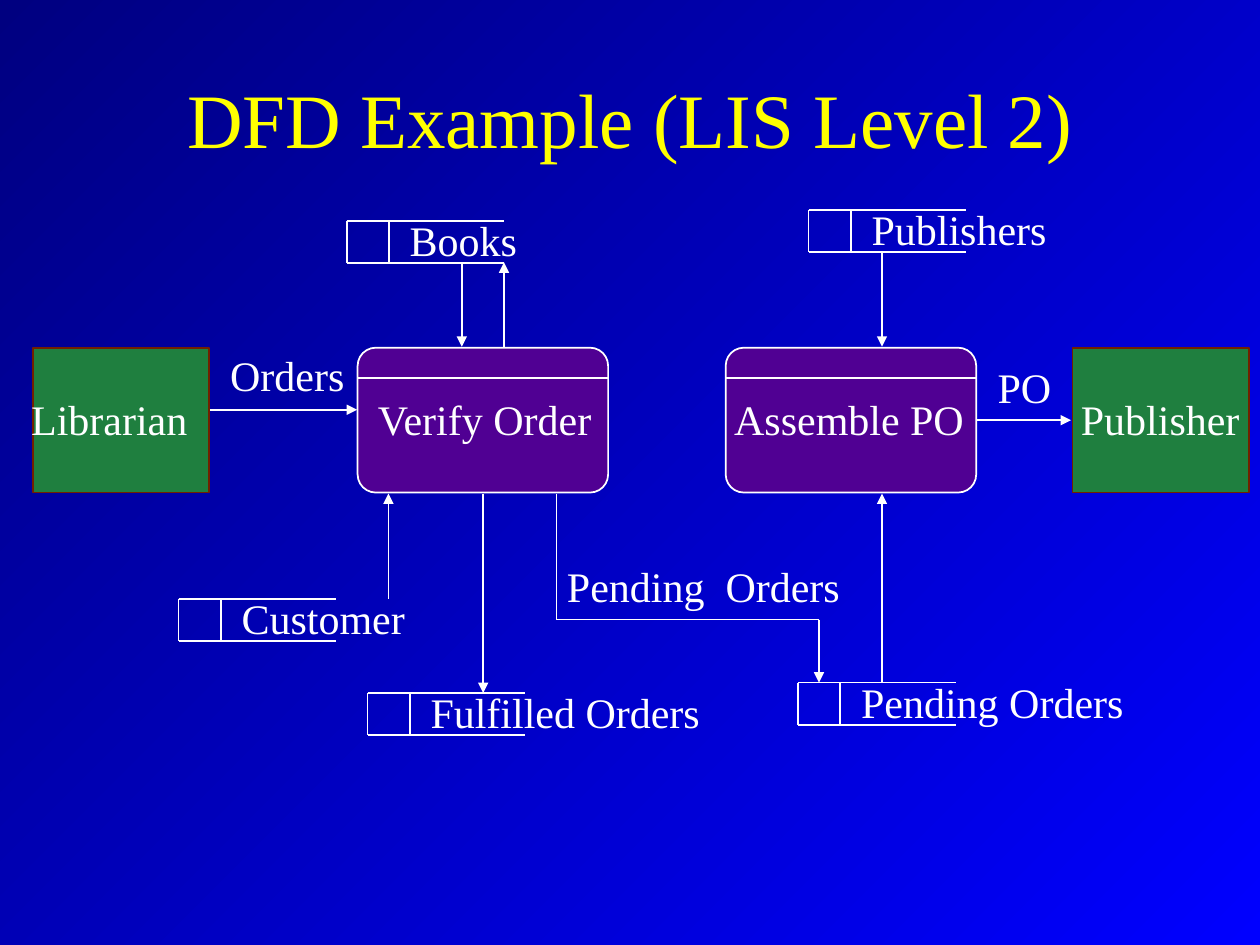
from dataclasses import dataclass
from itertools import pairwise

from lxml import etree
from pptx import Presentation
from pptx import util as u
from pptx.dml.color import RGBColor
from pptx.enum import shapes, text
from pptx.oxml.ns import qn


@dataclass(frozen=True)
class Theme:
    font: str = "Times New Roman"
    title_size: int = 44
    label_size: int = 24
    line_width: int = 1
    bg_start: str = "000080"
    bg_end: str = "0000FF"
    title: str = "FFFF00"
    ink: str = "FFFFFF"
    entity: str = "1F7F3F"
    entity_edge: str = "712000"
    process: str = "500093"


def rgb(value):
    return RGBColor.from_string(value)


def write(tf, words, *, font, size, color, align=text.PP_ALIGN.LEFT):
    p = tf.paragraphs[0]
    p.alignment = align
    r = p.add_run()
    r.text = words
    r.font.name = font
    r.font.size = u.Pt(size)
    r.font.color.rgb = rgb(color)


class Diagram:
    """Draws data flow diagram elements; all lengths are centimetres."""

    BOX_TOP, BOX_H = 7.01, 2.92
    ENTITY_W, PROCESS_W = 3.56, 5.05
    STORE_W, STORE_H = 3.18, 0.85
    LABEL_H, LABEL_TOP = 1.27, 7.8
    LABEL_SLACK = 0.12  # spare width that keeps each label on one line

    def __init__(self, prs, theme):
        self.theme = theme
        self.s = prs.slides.add_slide(prs.slide_layouts[6])

    def background(self):
        fill = self.s.background.fill
        fill.gradient()
        fill.gradient_angle = 315
        for stop, color in zip(fill.gradient_stops,
                               (self.theme.bg_start, self.theme.bg_end)):
            stop.color.rgb = rgb(color)

    def title(self, words, x, y, w, h):
        tf = self.s.shapes.add_textbox(*map(u.Cm, (x, y, w, h))).text_frame
        tf.word_wrap = True
        tf.vertical_anchor = text.MSO_ANCHOR.MIDDLE
        write(tf, words, font=self.theme.font, size=self.theme.title_size,
              color=self.theme.title, align=text.PP_ALIGN.CENTER)

    def label(self, words, x, y, w, parent=None):
        parent = parent or self.s
        box = parent.shapes.add_textbox(
            *map(u.Cm, (x, y, w + self.LABEL_SLACK, self.LABEL_H)))
        tf = box.text_frame
        tf.word_wrap = False
        tf.auto_size = text.MSO_AUTO_SIZE.SHAPE_TO_FIT_TEXT
        write(tf, words, font=self.theme.font, size=self.theme.label_size,
              color=self.theme.ink)

    def box(self, kind, x, w, fill, edge, parent=None):
        parent = parent or self.s
        sp = parent.shapes.add_shape(
            kind, *map(u.Cm, (x, self.BOX_TOP, w, self.BOX_H)))
        sp.shadow.inherit = False
        sp.fill.solid()
        sp.fill.fore_color.rgb = rgb(fill)
        sp.line.color.rgb = rgb(edge)
        sp.line.width = u.Pt(self.theme.line_width)
        return sp

    def line(self, start, end, parent=None, arrow=False):
        parent = parent or self.s
        c = parent.shapes.add_connector(
            shapes.MSO_CONNECTOR.STRAIGHT, *map(u.Cm, (*start, *end)))
        c.line.color.rgb = rgb(self.theme.ink)
        c.line.width = u.Pt(self.theme.line_width)
        if arrow:
            etree.SubElement(c.line._get_or_add_ln(), qn("a:tailEnd"),
                             type="triangle")
        etree.SubElement(c._element.spPr, qn("a:effectLst"))

    def entity(self, words, x, label_x, label_w):
        self.box(shapes.MSO_SHAPE.RECTANGLE, x, self.ENTITY_W,
                 self.theme.entity, self.theme.entity_edge)
        self.label(words, label_x, self.LABEL_TOP, label_w)

    def process(self, words, x, label_x, label_w):
        group = self.s.shapes.add_group_shape()
        sp = self.box(shapes.MSO_SHAPE.ROUNDED_RECTANGLE, x, self.PROCESS_W,
                      self.theme.process, self.theme.ink, group)
        sp.adjustments[0] = 0.125
        self.line((x, 7.62), (x + self.PROCESS_W, 7.62), group)
        self.label(words, label_x, self.LABEL_TOP, label_w)

    def store(self, words, x, y, label_w):
        group = self.s.shapes.add_group_shape()
        bottom = y + self.STORE_H
        for left in (x, x + self.STORE_H):
            self.line((left, y), (left, bottom), group)
        for level in (y, bottom):
            self.line((x, level), (x + self.STORE_W, level), group)
        self.label(words, x + 1.02, y - 0.25, label_w, group)

    def flow(self, *points):
        for start, end in pairwise(points):
            self.line(start, end, arrow=end == points[-1])


def main():
    prs = Presentation()
    prs.slide_width, prs.slide_height = u.Cm(25.4), u.Cm(19.05)
    d = Diagram(prs, Theme())
    d.background()
    d.title("DFD Example (LIS Level 2)", 1.91, 0.79, 21.59, 3.18)

    # External entities and processes
    d.entity("Librarian", 0.66, 0.38, 3.66)
    d.entity("Publisher", 21.62, 21.54, 3.71)
    d.process("Verify Order", 7.21, 7.37, 4.9)
    d.process("Assemble PO", 14.63, 14.55, 5.13)

    # Data stores
    d.store("Publishers", 16.3, 4.23, 4.04)
    d.store("Books", 6.99, 4.45, 2.67)
    d.store("Pending Orders", 16.09, 13.76, 5.79)
    d.store("Fulfilled Orders", 7.41, 13.97, 5.94)
    d.store("Customer", 3.6, 12.07, 3.78)

    # Data flows
    top, bottom = 6.99, 9.95
    d.flow((9.31, 5.29), (9.31, top))
    d.flow((10.16, top), (10.16, 5.29))
    d.flow((17.78, 5.08), (17.78, top))
    d.flow((4.23, 8.26), (7.2, 8.26))
    d.flow((19.69, 8.47), (21.59, 8.47))
    d.flow((7.83, 12.07), (7.83, bottom))
    d.flow((9.74, bottom), (9.74, 13.97))
    d.flow((17.78, 13.76), (17.78, bottom))
    d.flow((11.22, bottom), (11.22, 12.49), (16.51, 12.49), (16.51, 13.76))

    # Flow names
    d.label("Orders", 4.39, 6.93, 2.82)
    d.label("PO", 19.86, 7.16, 1.57)
    d.label("Pending  Orders", 11.18, 11.18, 5.99)

    prs.save("out.pptx")


if __name__ == "__main__":
    main()
